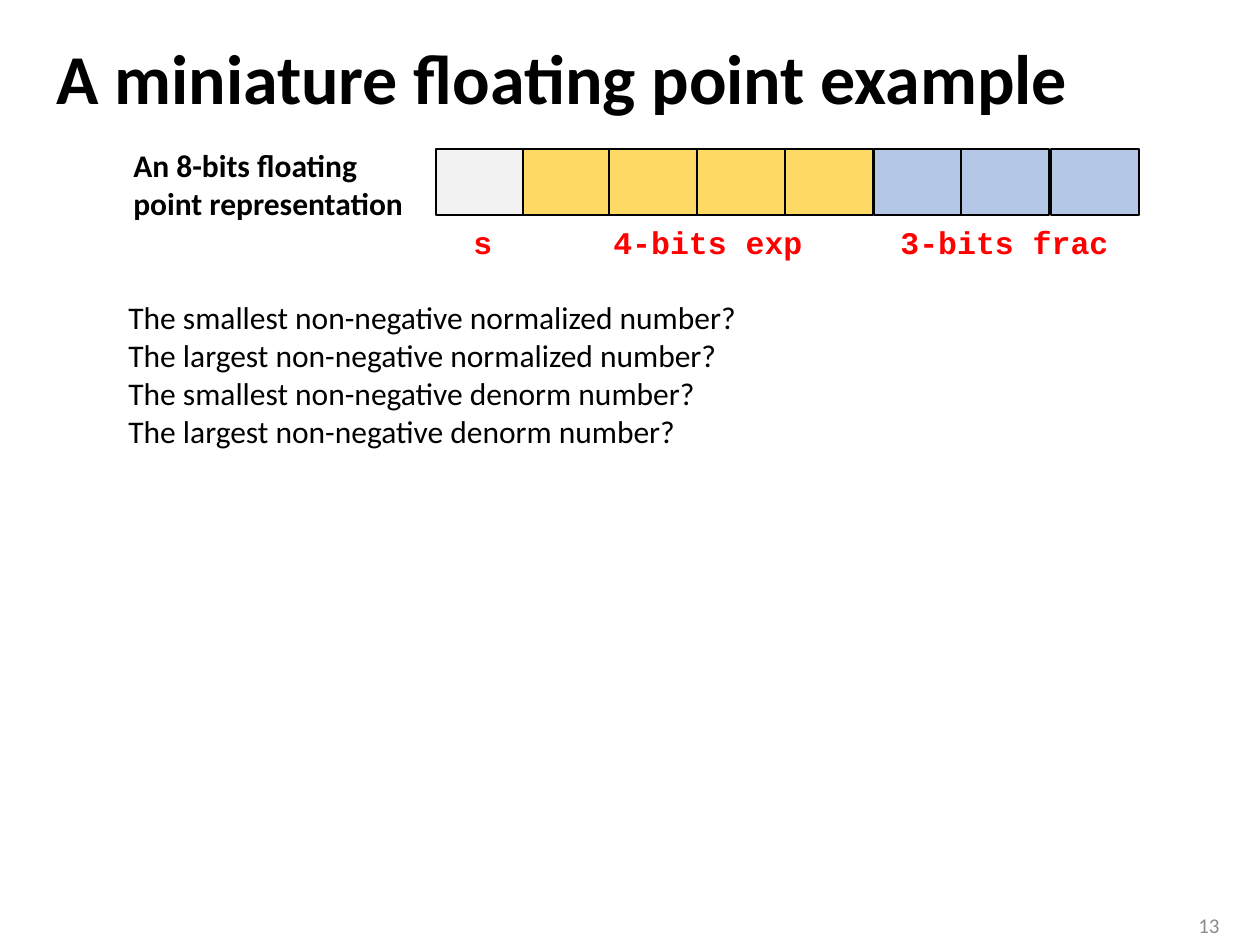
from pptx import Presentation
from pptx.dml.color import RGBColor
from pptx.enum.shapes import MSO_SHAPE
from pptx.enum.text import MSO_ANCHOR, PP_ALIGN
from pptx.util import Emu, Pt

RECTANGLE = MSO_SHAPE.RECTANGLE
TOP, MIDDLE = MSO_ANCHOR.TOP, MSO_ANCHOR.MIDDLE
LEFT, RIGHT = PP_ALIGN.LEFT, PP_ALIGN.RIGHT

BLACK = RGBColor(0x00, 0x00, 0x00)
GRAY = RGBColor(0x8C, 0x8C, 0x8C)
RED = RGBColor(0xFF, 0x00, 0x00)
SIGN_FILL = RGBColor(0xF2, 0xF2, 0xF2)
EXPONENT_FILL = RGBColor(0xFF, 0xD9, 0x66)
FRACTION_FILL = RGBColor(0xB4, 0xC7, 0xE7)

EMU_PER_PX = 914400 / 126
BIT_LEFTS = [436, 523, 609, 697, 785, 874, 961, 1051]
BIT_FILLS = [SIGN_FILL] + [EXPONENT_FILL] * 4 + [FRACTION_FILL] * 3
FIELD_LABELS = [
    ("s", 461, 38, True),
    ("4-bits exp", 601, 215, False),
    ("3-bits frac", 888, 234, False),
]
QUESTIONS = [
    "The smallest non-negative normalized number?",
    "The largest non-negative normalized number?",
    "The smallest non-negative denorm number?",
    "The largest non-negative denorm number?",
]


def px(length):
    """Convert pixels to EMU."""
    return Emu(round(length * EMU_PER_PX))


def add_text(slide, box, lines, size=18, font="Calibri", color=BLACK, bold=False,
             wrap=True, anchor=TOP, align=LEFT, spacing=1.0):
    """Add a text box with one paragraph per line."""
    frame = slide.shapes.add_textbox(*map(px, box)).text_frame
    frame.word_wrap = wrap
    frame.vertical_anchor = anchor
    for index, line in enumerate(lines):
        paragraph = frame.add_paragraph() if index else frame.paragraphs[0]
        paragraph.alignment = align
        paragraph.line_spacing = spacing
        run = paragraph.add_run()
        run.text = line
        run.font.name = font
        run.font.size = Pt(size)
        run.font.bold = bold
        run.font.color.rgb = color


def add_bit(slide, left, fill):
    """Add one outlined cell of the bit row."""
    shape = slide.shapes.add_shape(RECTANGLE, px(left), px(149), px(88), px(66))
    shape.shadow.inherit = False
    shape.fill.solid()
    shape.fill.fore_color.rgb = fill
    shape.line.color.rgb = BLACK
    shape.line.width = Pt(1)


def main():
    """Build the floating point slide."""
    presentation = Presentation()
    presentation.slide_width = px(1260)
    presentation.slide_height = px(945)
    slide = presentation.slides.add_slide(presentation.slide_layouts[6])

    add_text(slide, (44, 24, 1171, 116), ["A miniature floating point example"],
             size=40, bold=True, anchor=MIDDLE, spacing=0.9)
    add_text(slide, (1168, 906, 64, 39), ["13"], size=12, color=GRAY,
             anchor=MIDDLE, align=RIGHT)
    for left, fill in zip(BIT_LEFTS, BIT_FILLS):
        add_bit(slide, left, fill)
    for label, left, width, wrap in FIELD_LABELS:
        add_text(slide, (left, 217, width, 50), [label], font="Courier New",
                 color=RED, bold=True, wrap=wrap)
    add_text(slide, (121, 140, 314, 89), ["An 8-bits floating point representation"],
             bold=True)
    add_text(slide, (116, 292, 641, 165), QUESTIONS, wrap=False)

    presentation.save("out.pptx")


if __name__ == "__main__":
    main()
